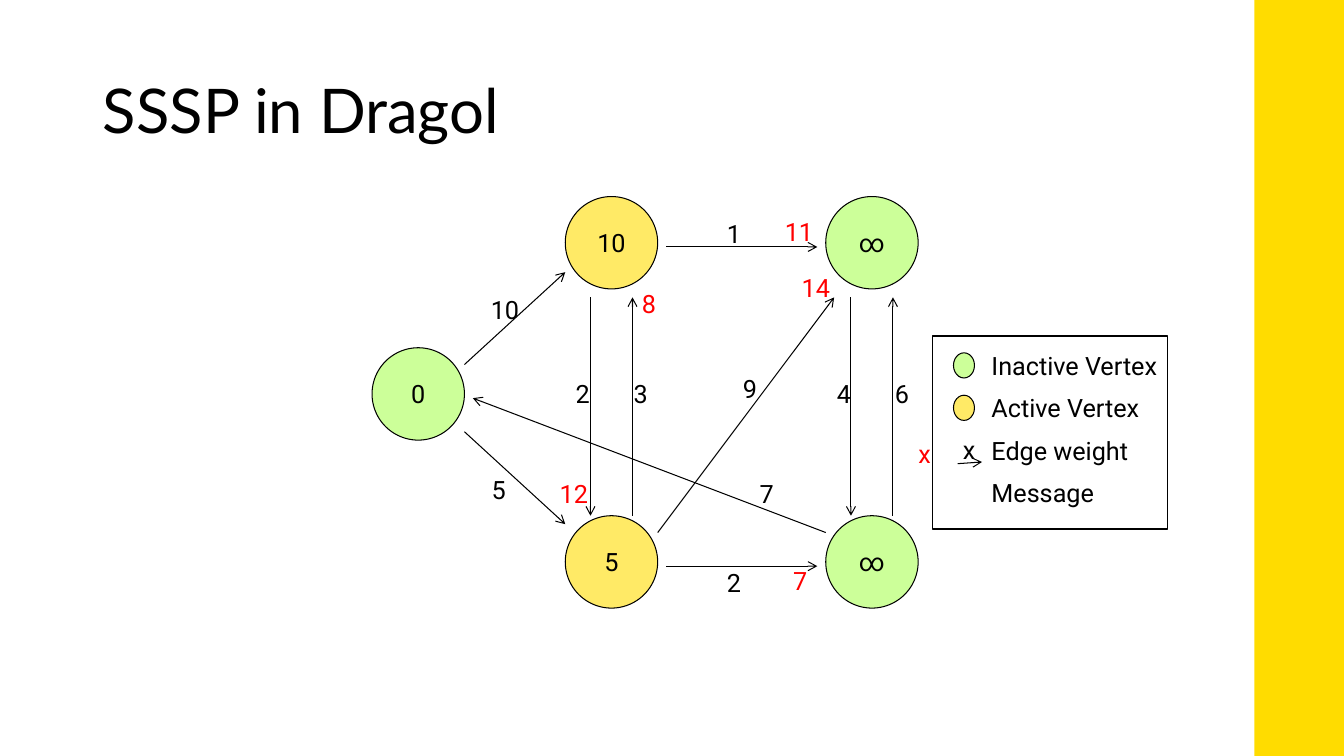
from typing import NamedTuple

from lxml.etree import SubElement
from pptx import Presentation
from pptx.dml.color import RGBColor
from pptx.enum.shapes import MSO_CONNECTOR, MSO_SHAPE
from pptx.enum.text import MSO_ANCHOR, MSO_AUTO_SIZE, PP_ALIGN
from pptx.oxml.ns import qn
from pptx.shapes.autoshape import Shape
from pptx.shapes.shapetree import GroupShapes
from pptx.text.text import TextFrame
from pptx.util import Inches, Pt

COLORS = {
    "ink": "000000",
    "message": "FF0000",
    "inactive": "CCFF99",
    "active": "FFEA66",
    "band": "FFDC00",
}
CELL = Inches(1 / 12)
LEFT, TOP = Inches(3.69), Inches(1.95)
VERTEX_CELLS = 11
LABEL_HEIGHT = 4.8


class Vertex(NamedTuple):
    text: str
    column: float
    row: float
    state: str


class Edge(NamedTuple):
    start: tuple[float, float]
    end: tuple[float, float]


class Label(NamedTuple):
    """A short text centred on a grid point."""
    text: str
    column: float
    row: float
    color: str = "ink"


VERTICES = [
    Vertex("0", 0, 18, "inactive"),
    Vertex("10", 23, 0, "active"),
    Vertex("5", 23, 38, "active"),
    Vertex("∞", 54, 0, "inactive"),
    Vertex("∞", 54, 38, "inactive"),
]
EDGES = [
    Edge((11, 28), (23, 39)),
    Edge((11, 20), (23, 9)),
    Edge((35, 44), (53, 44)),
    Edge((35, 6), (53, 6)),
    Edge((34, 40), (55, 12)),
    Edge((54, 40), (12, 24)),
    Edge((31, 38), (31, 12)),
    Edge((26, 12), (26, 38)),
    Edge((62, 38), (62, 12)),
    Edge((57, 12), (57, 38)),
]
WEIGHTS = [
    Label("10", 15.9, 13.4),
    Label("5", 15.1, 34.9),
    Label("2", 25.1, 23.4),
    Label("3", 32, 23.4),
    Label("2", 43.1, 46),
    Label("1", 43.1, 4.4),
    Label("9", 45, 22.9),
    Label("7", 47, 35.4),
    Label("4", 56.2, 23.4),
    Label("6", 63.1, 23.4),
]
MESSAGES = [
    Label("11", 50.9, 4.2, "message"),
    Label("7", 51, 45.7, "message"),
    Label("12", 24.1, 35.3, "message"),
    Label("8", 33, 12.7, "message"),
    Label("14", 52.9, 10.8, "message"),
]
LEGEND = ["Inactive Vertex", "Active Vertex", "Edge weight", "Message"]
LEGEND_ROW, LEGEND_STEP = 20.1, 5.05
LEGEND_MARKS = [Label("x", 71.2, 30.1), Label("x", 65.9, 30.6, "message")]
LEGEND_EDGE = Edge((69.7, 31.8), (72.6, 31.6))


def rgb(name: str) -> RGBColor:
    return RGBColor.from_string(COLORS[name])


def grid_box(column: float, row: float, columns: float, rows: float) -> tuple[int, int, int, int]:
    return (int(LEFT + column * CELL), int(TOP + row * CELL),
            int(columns * CELL), int(rows * CELL))


def write(frame: TextFrame, text: str, color: str = "ink",
          size: float = 18, face: str = "Roboto") -> None:
    frame.text = text
    for span in frame.paragraphs[0].runs:
        span.font.size = Pt(size)
        span.font.name = face
        span.font.color.rgb = rgb(color)


def add_ellipse(shapes: GroupShapes, box: tuple[int, int, int, int], color: str) -> Shape:
    ellipse = shapes.add_shape(MSO_SHAPE.OVAL, *box)
    ellipse.shadow.inherit = False
    ellipse.fill.solid()
    ellipse.fill.fore_color.rgb = rgb(color)
    ellipse.line.color.rgb = rgb("ink")
    ellipse.line.width = Pt(0.75)
    return ellipse


def add_vertex(shapes: GroupShapes, vertex: Vertex) -> None:
    box = grid_box(vertex.column, vertex.row, VERTEX_CELLS, VERTEX_CELLS)
    frame = add_ellipse(shapes, box, vertex.state).text_frame
    frame.margin_left = frame.margin_right = 0
    frame.vertical_anchor = MSO_ANCHOR.MIDDLE
    write(frame, vertex.text)
    frame.paragraphs[0].alignment = PP_ALIGN.CENTER


def add_edge(shapes: GroupShapes, edge: Edge) -> None:
    start = grid_box(*edge.start, 0, 0)[:2]
    end = grid_box(*edge.end, 0, 0)[:2]
    arrow = shapes.add_connector(MSO_CONNECTOR.STRAIGHT, *start, *end)
    arrow.line.color.rgb = rgb("ink")
    arrow.line.width = Pt(0.75)
    SubElement(arrow.line._get_or_add_ln(), qn("a:tailEnd"), type="arrow")
    SubElement(arrow._element.spPr, qn("a:effectLst"))


def add_label(shapes: GroupShapes, label: Label) -> None:
    width = 2.3 + 1.8 * len(label.text)
    box = shapes.add_textbox(*grid_box(label.column - width / 2, label.row - LABEL_HEIGHT / 2,
                                       width, LABEL_HEIGHT))
    box.text_frame.word_wrap = False
    box.text_frame.auto_size = MSO_AUTO_SIZE.SHAPE_TO_FIT_TEXT
    write(box.text_frame, label.text, label.color)


def add_legend(shapes: GroupShapes) -> None:
    for index, text in enumerate(LEGEND):
        top = LEGEND_ROW + index * LEGEND_STEP - LABEL_HEIGHT / 2
        box = shapes.add_textbox(*grid_box(71.8, top, 28.2, LABEL_HEIGHT))
        box.text_frame.word_wrap = True
        box.text_frame.margin_left = Inches(0.16)
        write(box.text_frame, text)
    for index, state in enumerate(["inactive", "active"]):
        row = LEGEND_ROW + index * LEGEND_STEP
        add_ellipse(shapes, grid_box(69.2, row - 1.5, 2.5, 3), state)
    for mark in LEGEND_MARKS:
        add_label(shapes, mark)
    add_edge(shapes, LEGEND_EDGE)
    border = shapes.add_shape(MSO_SHAPE.RECTANGLE, *grid_box(66.7, 16.6, 28, 23))
    border.shadow.inherit = False
    border.fill.background()
    border.line.color.rgb = rgb("ink")
    border.line.width = Pt(1)


def main() -> None:
    deck = Presentation()
    deck.slide_width, deck.slide_height = Inches(13.33), Inches(7.5)
    page = deck.slides.add_slide(deck.slide_layouts[5])

    band = page.shapes.add_shape(MSO_SHAPE.RECTANGLE, Inches(12.44), 0,
                                 Inches(0.89), deck.slide_height)
    band.shadow.inherit = False
    band.fill.solid()
    band.fill.fore_color.rgb = rgb("band")
    band.line.fill.background()

    graph = page.shapes.add_group_shape().shapes
    for vertex in VERTICES:
        add_vertex(graph, vertex)
    for edge in EDGES:
        add_edge(graph, edge)
    for weight in WEIGHTS:
        add_label(graph, weight)
    for message in MESSAGES:
        add_label(page.shapes, message)
    add_legend(page.shapes.add_group_shape().shapes)

    title = page.shapes.title
    title.left, title.top = Inches(0.92), Inches(0.4)
    title.width, title.height = Inches(11.5), Inches(1.45)
    title.text_frame.vertical_anchor = MSO_ANCHOR.MIDDLE
    write(title.text_frame, "SSSP in Dragol", size=44, face="Lato")
    title.text_frame.paragraphs[0].alignment = PP_ALIGN.LEFT
    title.text_frame.paragraphs[0].line_spacing = 0.9

    deck.save("out.pptx")


if __name__ == "__main__":
    main()
